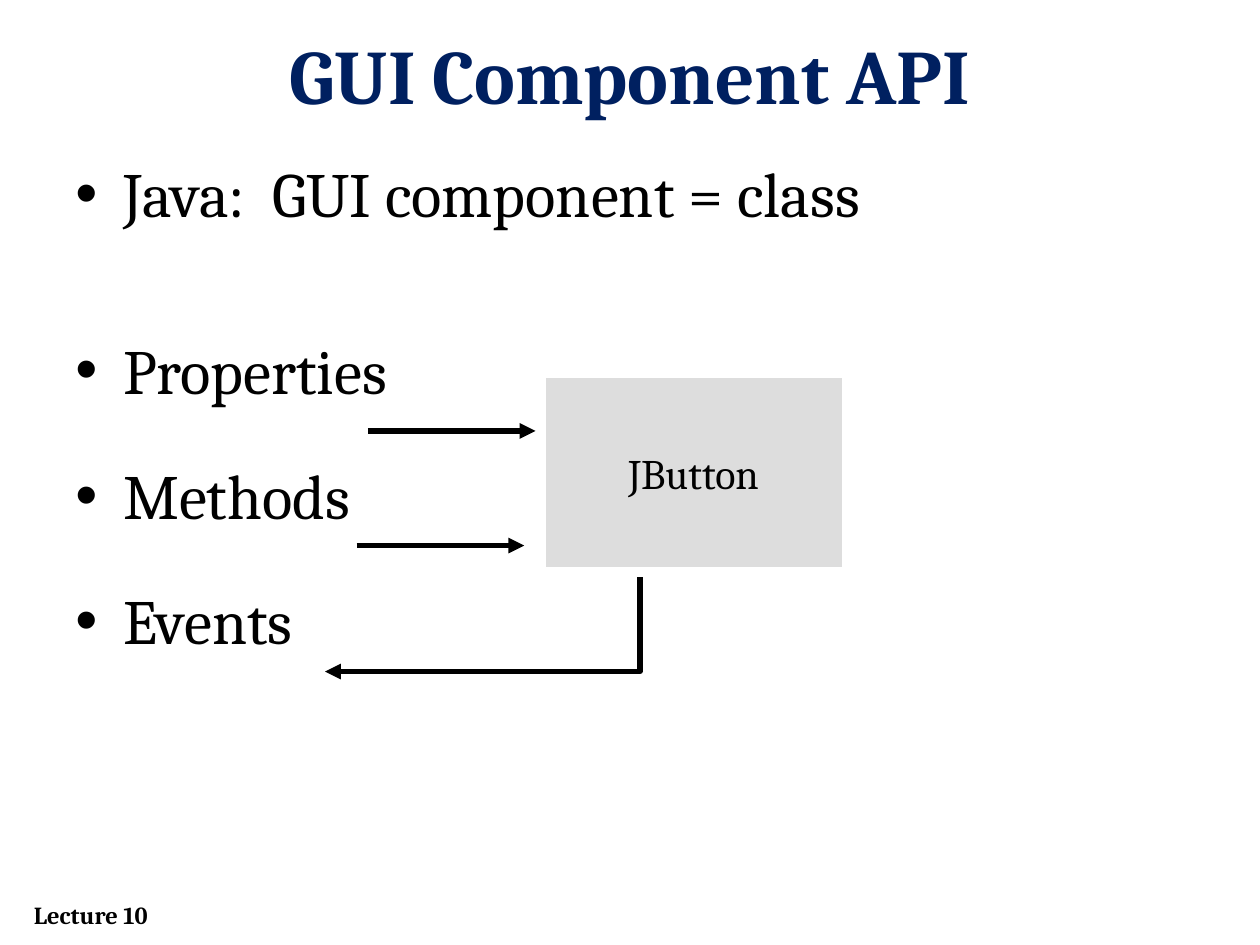
"""Build the GUI Component API slide."""
from lxml import etree
from pptx import Presentation
from pptx.dml.color import RGBColor
from pptx.enum.shapes import MSO_CONNECTOR, MSO_SHAPE
from pptx.enum.text import MSO_ANCHOR, PP_ALIGN
from pptx.oxml.ns import qn
from pptx.util import Inches, Pt

STRAIGHT = MSO_CONNECTOR.STRAIGHT
BUTTON = MSO_SHAPE.ACTION_BUTTON_CUSTOM
TOP, MIDDLE = MSO_ANCHOR.TOP, MSO_ANCHOR.MIDDLE
LEFT, CENTER = PP_ALIGN.LEFT, PP_ALIGN.CENTER


def color(value):
    return RGBColor.from_string(value)


def write(p, text, size, fill="000000", bold=False):
    r = p.add_run()
    r.text = text
    r.font.color.rgb = color(fill)
    formats = {"name": "Cambria", "size": Pt(size), "bold": bold}
    for key, value in formats.items():
        setattr(r.font, key, value)


prs = Presentation()
prs.slide_width, prs.slide_height = Inches(10), Inches(7.5)
s = prs.slides.add_slide(prs.slide_layouts[6])

labels = [
    ("Lecture 10", (0.17, 7.09, 2, 0.34), 14, "000000", LEFT),
    ("GUI Component API", (0.5, 0.17, 9, 0.62), 44, "002060", CENTER),
]
for text, box, size, fill, align in labels:
    tf = s.shapes.add_textbox(*map(Inches, box)).text_frame
    tf.word_wrap, tf.vertical_anchor = True, TOP
    p = tf.paragraphs[0]
    p.alignment = align
    write(p, text, size, fill, True)

tf = s.shapes.add_textbox(*map(Inches, (0.5, 1.18, 9, 5.52))).text_frame
tf.word_wrap = True
bullets = [
    ("Java:  GUI component = class", 0),
    ("Properties", 57.5),
    ("Methods", 28.5),
    ("Events", 28.5),
]
for i, (text, gap) in enumerate(bullets):
    p = tf.add_paragraph() if i else tf.paragraphs[0]
    p.space_before = Pt(gap)
    pPr = p._p.get_or_add_pPr()
    pPr.set("marL", str(Inches(0.38)))
    pPr.set("indent", str(Inches(-0.38)))
    etree.SubElement(pPr, qn("a:buFont"), typeface="Arial")
    etree.SubElement(pPr, qn("a:buChar"), char="•")
    write(p, text, 36)

sp = s.shapes.add_shape(BUTTON, *map(Inches, (4.33, 3, 2.35, 1.5)))
sp.shadow.inherit = False
sp.fill.solid()
sp.fill.fore_color.rgb = color("DDDDDD")
sp.line.fill.background()
tf = sp.text_frame
tf.word_wrap, tf.vertical_anchor = False, MIDDLE
p = tf.paragraphs[0]
p.alignment = CENTER
write(p, "JButton", 24)

arrows = []
for x, y in [(2.92, 3.42), (2.83, 4.33)]:
    ends = map(Inches, (x, y, x + 1.33, y))
    sp = s.shapes.add_connector(STRAIGHT, *ends)
    arrows.append(sp)

fb = s.shapes.build_freeform(Inches(5.08), Inches(4.58))
corners = [(5.08, 5.33), (2.58, 5.33)]
fb.add_line_segments([(Inches(x), Inches(y)) for x, y in corners], close=False)
sp = fb.convert_to_shape()
sp.fill.background()
arrows.append(sp)

for sp in arrows:
    sp.line.color.rgb = color("000000")
    sp.line.width = Pt(3)
    etree.SubElement(sp.line._get_or_add_ln(), qn("a:tailEnd"), type="triangle")
    etree.SubElement(sp._element.spPr, qn("a:effectLst"))

prs.save("out.pptx")
